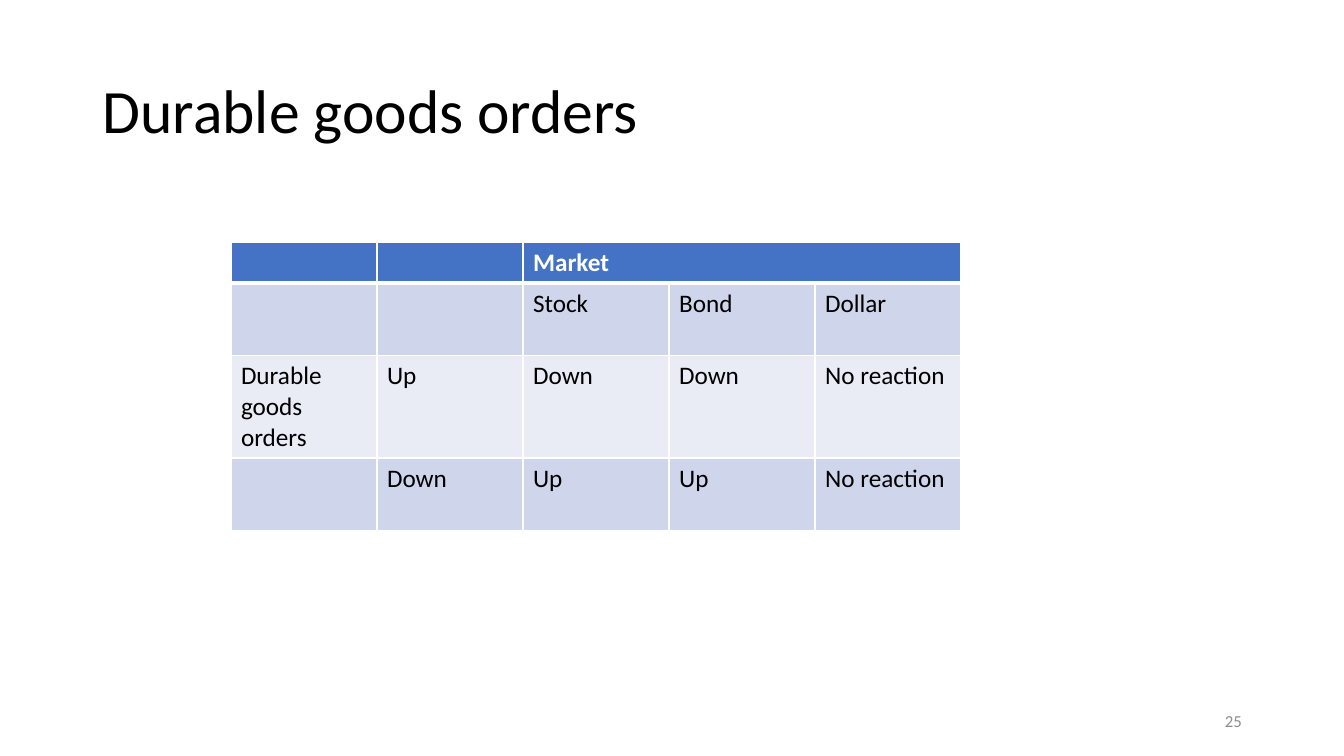
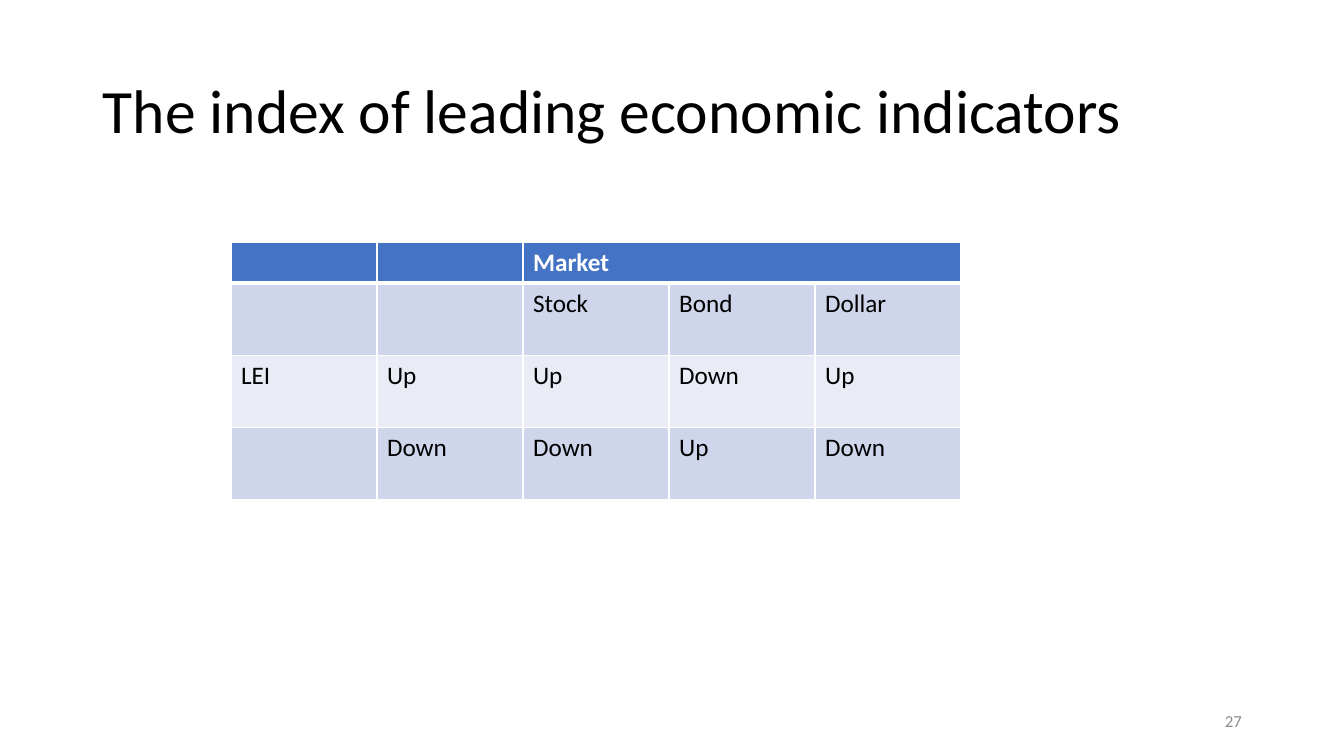
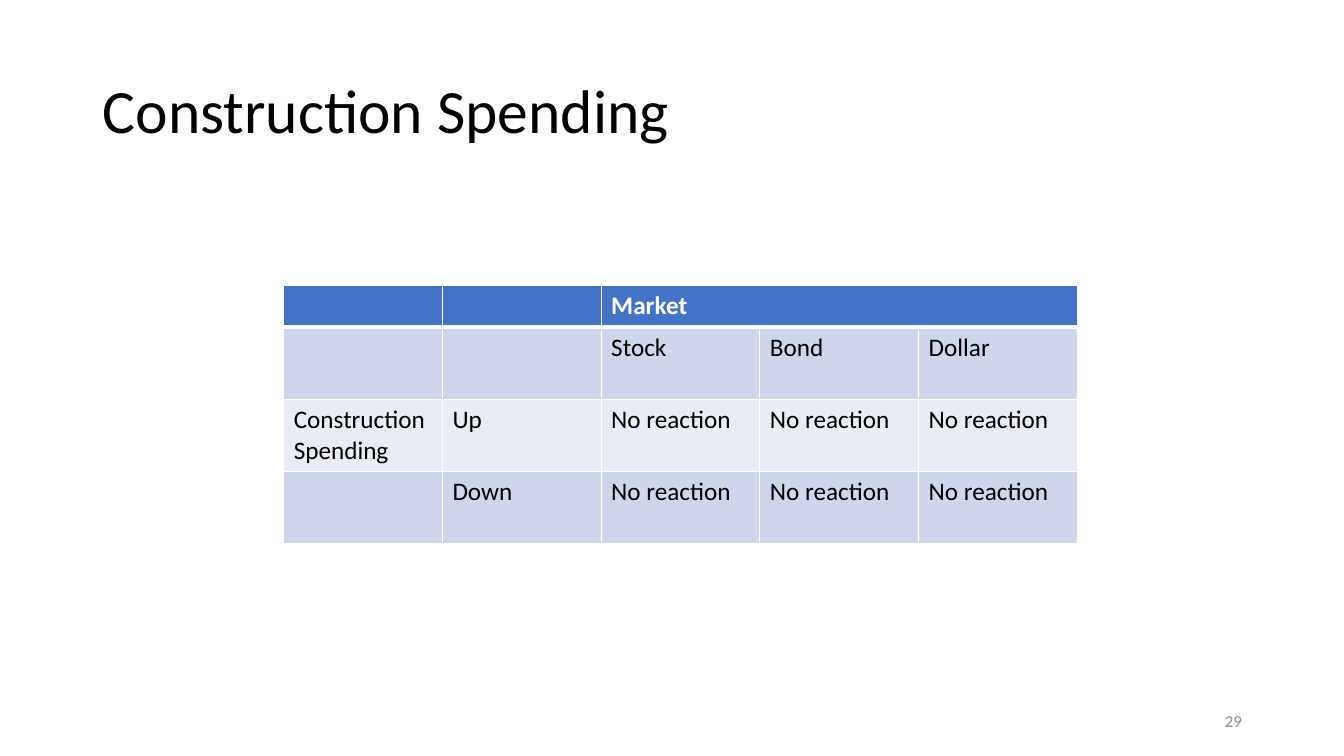
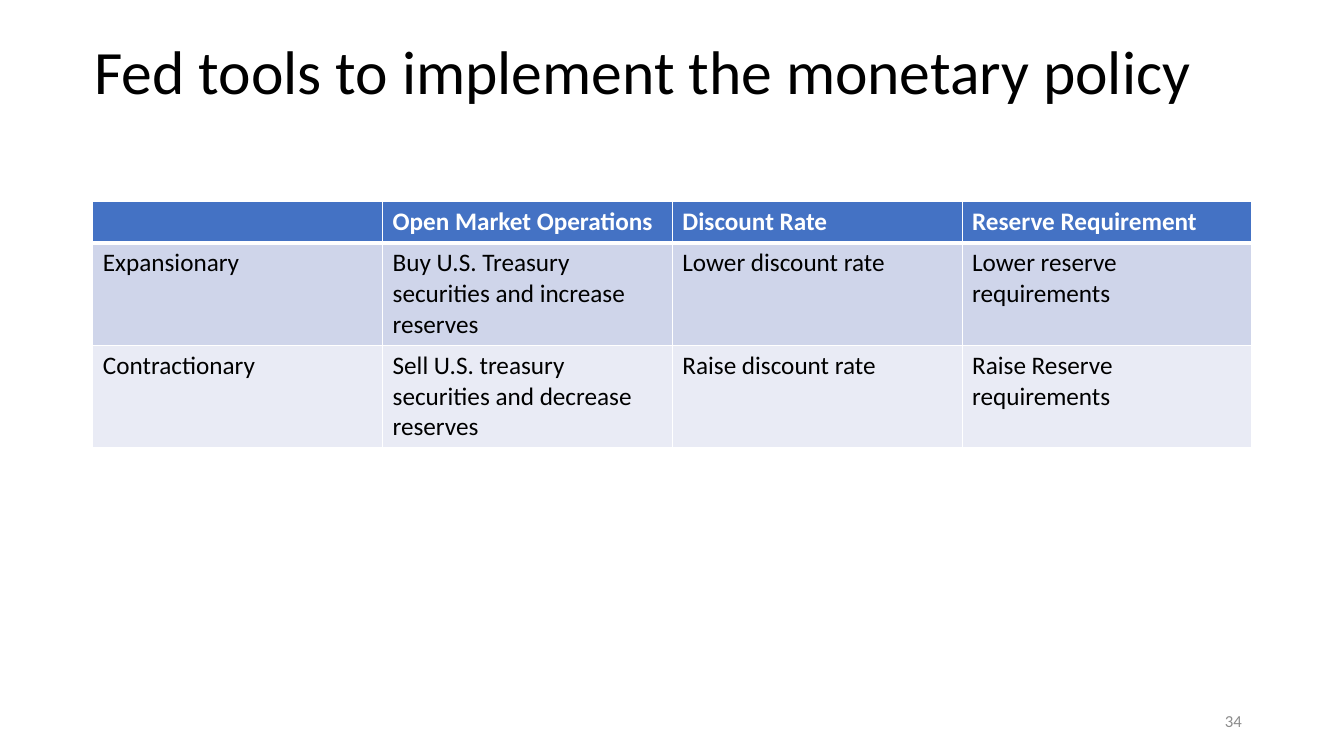
from lxml.etree import SubElement
from pptx import Presentation
from pptx.dml.color import RGBColor
from pptx.enum.text import MSO_ANCHOR as Anchor, PP_ALIGN as Align
from pptx.oxml.ns import qn
from pptx.util import Cm, Pt

FONT = "Calibri"
BLACK = RGBColor(0x00, 0x00, 0x00)
WHITE = RGBColor(0xFF, 0xFF, 0xFF)
GRAY = RGBColor(0x8C, 0x8C, 0x8C)
HEADER_BLUE = RGBColor(0x44, 0x72, 0xC4)
BANDS = (RGBColor(0xCF, 0xD5, 0xEA), RGBColor(0xE9, 0xEB, 0xF5))

THIN, THICK = Pt(1), Pt(3)
LINE_HEIGHTS = {1: 1.04, 2: 1.82, 3: 2.58}
TITLE_PLACE = (2.34, 1.02, 29.21, 3.68)
HIGH_TITLE_PLACE = (2.13, 0.71, 29.21, 2.36)
NUMBER_PLACE = (23.93, 17.65, 7.62, 1.02)


def write_text(frame, text, size=18, color=BLACK, bold=False,
               align=Align.LEFT, spacing=1.0):
    para = frame.paragraphs[0]
    para.alignment = align
    para.line_spacing = spacing
    span = para.add_run()
    span.text = text
    span.font.name = FONT
    span.font.size = Pt(size)
    span.font.bold = bold
    span.font.color.rgb = color


def add_text(page, place, text, **style):
    box = page.shapes.add_textbox(*map(Cm, place))
    box.text_frame.word_wrap = True
    box.text_frame.vertical_anchor = Anchor.MIDDLE
    write_text(box.text_frame, text, **style)


def add_page(deck, title, number, title_place=TITLE_PLACE):
    page = deck.slides.add_slide(deck.slide_layouts[6])
    add_text(page, title_place, title, size=44, spacing=0.9)
    add_text(page, NUMBER_PLACE, str(number), size=12, color=GRAY,
             align=Align.RIGHT)
    return page


def set_borders(cell, top, bottom):
    properties = cell._tc.get_or_add_tcPr()
    widths = {"a:lnL": THIN, "a:lnR": THIN, "a:lnT": top, "a:lnB": bottom}
    for tag, width in widths.items():
        line = SubElement(properties, qn(tag), w=str(width))
        fill = SubElement(line, qn("a:solidFill"))
        SubElement(fill, qn("a:srgbClr"), val=str(WHITE))


def style_cell(cell, row, text):
    header = row == 0
    set_borders(cell, THICK if row == 1 else THIN, THICK if header else THIN)
    cell.fill.solid()
    cell.fill.fore_color.rgb = HEADER_BLUE if header else BANDS[(row - 1) % 2]
    if text:
        write_text(cell.text_frame, text, bold=header,
                   color=WHITE if header else BLACK)


def add_grid(page, left, top, width, rows, line_counts):
    heights = [LINE_HEIGHTS[count] for count in line_counts]
    columns = len(rows[0])
    grid = page.shapes.add_table(len(rows), columns, Cm(left), Cm(top),
                                 Cm(width), Cm(sum(heights))).table
    grid.first_row = grid.horz_banding = False
    for column in grid.columns:
        column.width = Cm(width / columns)
    for row, (texts, height) in enumerate(zip(rows, heights)):
        grid.rows[row].height = Cm(height)
        for column, text in enumerate(texts):
            style_cell(grid.cell(row, column), row, text)
    return grid


def add_market_grid(page, left, top, width, indicator, when_up, when_down,
                    label_lines=2):
    rows = [
        ["", "", "Market", "", ""],
        ["", "", "Stock", "Bond", "Dollar"],
        [indicator, "Up", *when_up],
        ["", "Down", *when_down],
    ]
    grid = add_grid(page, left, top, width, rows, [1, 2, label_lines, 2])
    grid.cell(0, 2).merge(grid.cell(0, 4))


def main():
    deck = Presentation()
    deck.slide_width, deck.slide_height = Cm(33.87), Cm(19.05)

    page = add_page(deck, "Durable goods orders", 25)
    add_market_grid(page, 5.82, 6.1, 18.4, "Durable goods orders",
                    ["Down", "Down", "No reaction"],
                    ["Up", "Up", "No reaction"], label_lines=3)

    page = add_page(deck, "The index of leading economic indicators", 27)
    add_market_grid(page, 5.82, 6.1, 18.4, "LEI",
                    ["Up", "Down", "Up"], ["Down", "Up", "Down"])

    page = add_page(deck, "Construction Spending", 29)
    unmoved = ["No reaction"] * 3
    add_market_grid(page, 7.15, 7.2, 20, "Construction Spending",
                    unmoved, unmoved)

    page = add_page(deck, "Fed tools to implement the monetary policy", 34,
                    HIGH_TITLE_PLACE)
    tools = [
        ["", "Open Market Operations", "Discount Rate", "Reserve Requirement"],
        ["Expansionary", "Buy U.S. Treasury securities and increase reserves",
         "Lower discount rate", "Lower reserve requirements"],
        ["Contractionary", "Sell U.S. treasury securities and decrease reserves",
         "Raise discount rate", "Raise Reserve requirements"],
    ]
    add_grid(page, 2.34, 5.08, 29.21, tools, [1, 3, 3])

    deck.save("out.pptx")


if __name__ == "__main__":
    main()
